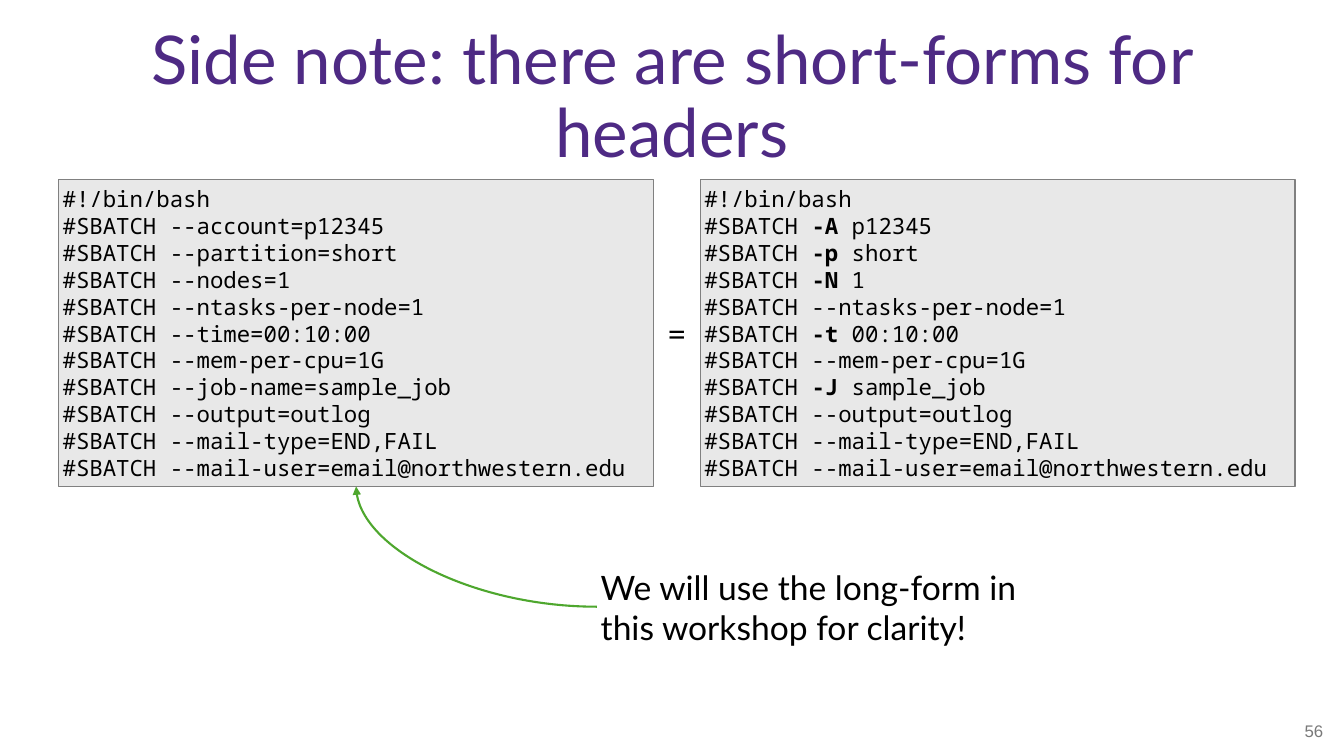
from dataclasses import dataclass

from lxml.etree import SubElement
from pptx import Presentation
from pptx.dml.color import RGBColor
from pptx.enum.shapes import MSO_CONNECTOR, MSO_SHAPE
from pptx.enum.text import MSO_ANCHOR, MSO_AUTO_SIZE, PP_ALIGN
from pptx.oxml.ns import qn
from pptx.util import Cm, Pt


@dataclass(frozen=True)
class Theme:
    title: RGBColor = RGBColor(0x4E, 0x2A, 0x84)
    ink: RGBColor = RGBColor(0, 0, 0)
    muted: RGBColor = RGBColor(0x79, 0x79, 0x79)
    panel: RGBColor = RGBColor(0xE8, 0xE8, 0xE8)
    border: RGBColor = RGBColor(0x80, 0x80, 0x80)
    arrow: RGBColor = RGBColor(0x4E, 0xA7, 0x2E)
    body_font: str = "Lato"
    code_font: str = "Noto Sans Mono"
    number_font: str = "Arial"
    title_size: int = 48
    body_size: int = 24
    code_size: int = 16
    number_size: int = 12


THEME = Theme()
INSET = Cm(0.1)
OPTIONS = [
    ("account", "p12345", "A"),
    ("partition", "short", "p"),
    ("nodes", "1", "N"),
    ("ntasks-per-node", "1", None),
    ("time", "00:10:00", "t"),
    ("mem-per-cpu", "1G", None),
    ("job-name", "sample_job", "J"),
    ("output", "outlog", None),
    ("mail-type", "END,FAIL", None),
    ("mail-user", "email@northwestern.edu", None),
]


def add_span(para, text, font=THEME.body_font, size=THEME.body_size,
             color=THEME.ink, bold=False):
    span = para.add_run()
    span.text = text
    span.font.name = font
    span.font.size = Pt(size)
    span.font.color.rgb = color
    span.font.bold = bold


def set_frame(shape, inset=INSET):
    frame = shape.text_frame
    frame.word_wrap = True
    frame.auto_size = MSO_AUTO_SIZE.NONE
    frame.vertical_anchor = MSO_ANCHOR.MIDDLE
    if inset is not None:
        frame.margin_left = frame.margin_right = inset
        frame.margin_top = frame.margin_bottom = inset
    return frame


def add_text(page, box, text, align=PP_ALIGN.LEFT, inset=INSET, **format):
    shape = page.shapes.add_textbox(*box)
    para = set_frame(shape, inset).paragraphs[0]
    para.alignment = align
    add_span(para, text, **format)
    return shape


def place_title(page, box, text):
    title = page.shapes.title
    title.left, title.top, title.width, title.height = box
    para = set_frame(title, None).paragraphs[0]
    para.alignment = PP_ALIGN.CENTER
    para.line_spacing = 0.9
    add_span(para, text, size=THEME.title_size, color=THEME.title)


def header_lines(short):
    lines = [[("#!/bin/bash", False)]]
    for name, value, letter in OPTIONS:
        if short and letter:
            lines.append([("#SBATCH ", False), (f"-{letter}", True), (f" {value}", False)])
        else:
            lines.append([(f"#SBATCH --{name}={value}", False)])
    return lines


def add_code_panel(page, box, lines):
    panel = page.shapes.add_shape(MSO_SHAPE.RECTANGLE, *box)
    panel.shadow.inherit = False
    panel.fill.solid()
    panel.fill.fore_color.rgb = THEME.panel
    panel.line.color.rgb = THEME.border
    panel.line.width = Pt(1)
    frame = set_frame(panel)
    for index, line in enumerate(lines):
        para = frame.add_paragraph() if index else frame.paragraphs[0]
        para.alignment = PP_ALIGN.LEFT
        for text, bold in line:
            add_span(para, text, font=THEME.code_font, size=THEME.code_size, bold=bold)
    return panel


def add_comparison(page, box):
    left, top, width, height = box
    panel_width = Cm(14.99)
    gap = width - 2 * panel_width
    long_panel = add_code_panel(page, (left, top, panel_width, height), header_lines(False))
    add_code_panel(page, (left + panel_width + gap, top, panel_width, height),
                   header_lines(True))
    sign_width, sign_height = Cm(0.86), Cm(1.22)
    sign_box = (left + (width - sign_width) // 2, top + (height - sign_height) // 2,
                sign_width, sign_height)
    add_text(page, sign_box, "=", align=PP_ALIGN.CENTER)
    return long_panel


def add_note(page, box, text, target):
    note = add_text(page, box, text)
    arrow = page.shapes.add_connector(
        MSO_CONNECTOR.CURVE, note.left, note.top + note.height // 2,
        target.left + target.width // 2, target.top + target.height)
    arrow.begin_connect(note, 1)
    arrow.end_connect(target, 2)
    arrow.line.color.rgb = THEME.arrow
    arrow.line.width = Pt(1.5)
    properties = arrow.element.spPr
    properties.find(qn("a:prstGeom")).set("prst", "curvedConnector2")
    SubElement(properties.find(qn("a:ln")), qn("a:tailEnd"), type="triangle")
    SubElement(properties, qn("a:effectLst"))


def add_page_number(page, box, number):
    add_text(page, box, number, align=PP_ALIGN.RIGHT, inset=None, font=THEME.number_font,
             size=THEME.number_size, color=THEME.muted)


def main():
    deck = Presentation()
    deck.slide_width, deck.slide_height = Cm(33.87), Cm(19.05)
    page = deck.slides.add_slide(deck.slide_layouts[5])
    place_title(page, (Cm(0.56), Cm(0.38), Cm(32.74), Cm(4.24)),
                "Side note: there are short-forms for headers")
    long_panel = add_comparison(page, (Cm(1.48), Cm(4.53), Cm(31.16), Cm(7.73)))
    add_note(page, (Cm(15.04), Cm(14.16), Cm(11.05), Cm(2.26)),
             "We will use the long-form in this workshop for clarity!", long_panel)
    add_page_number(page, (Cm(25.7), Cm(17.91), Cm(7.9), Cm(1.02)), "56")
    deck.save("out.pptx")


if __name__ == "__main__":
    main()
